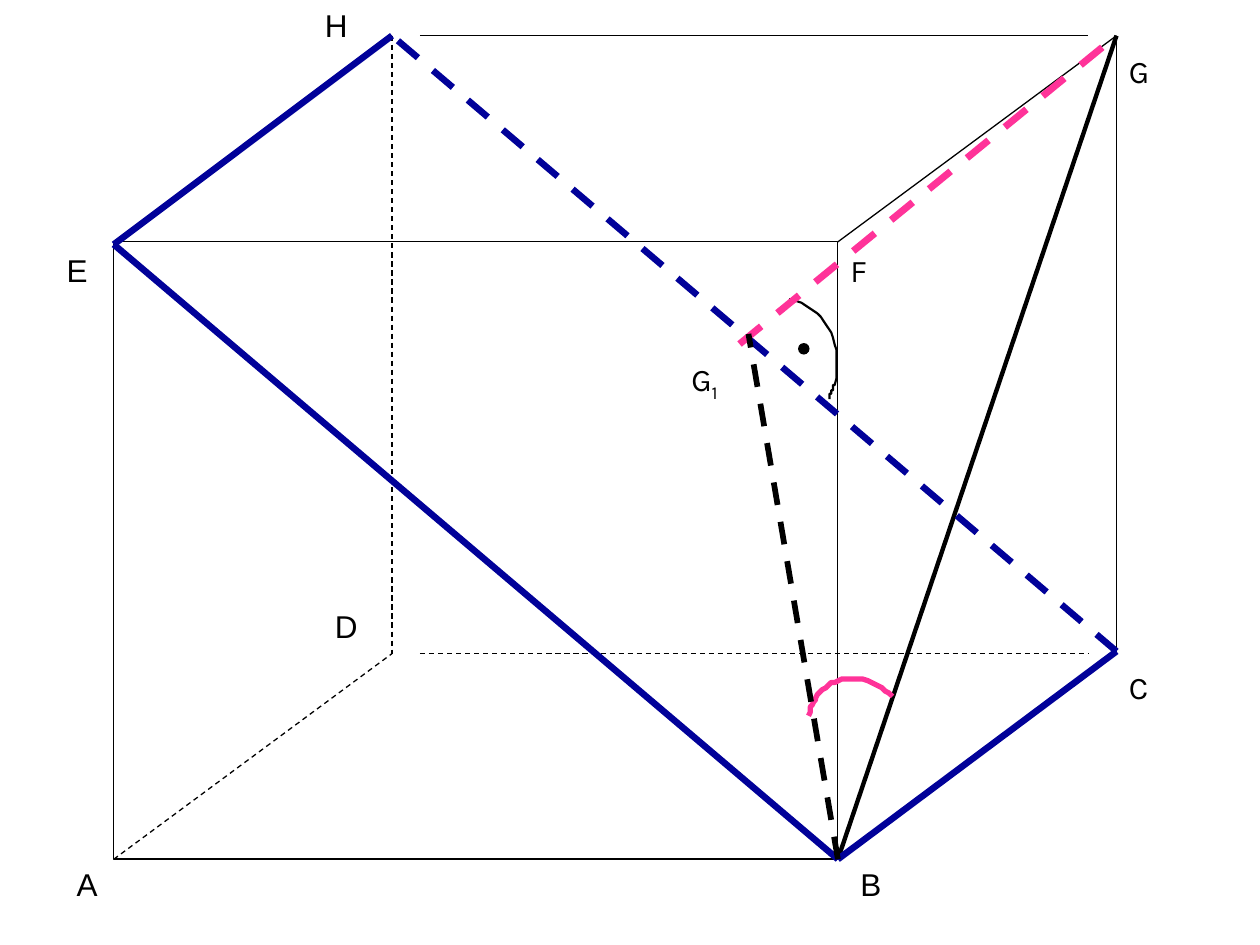
from dataclasses import dataclass

from lxml.etree import SubElement
from pptx import Presentation
from pptx.dml.color import RGBColor
from pptx.enum.dml import MSO_LINE
from pptx.enum.shapes import MSO_CONNECTOR, MSO_SHAPE
from pptx.enum.text import MSO_AUTO_SIZE
from pptx.oxml.ns import qn
from pptx.util import Pt

COLORS = {"black": "000000", "blue": "010199", "pink": "FF3399"}
Point = tuple[float, float]

# Corners of the box
A, B, C, D = (65, 491), (478.8, 491), (638, 373.5), (224, 373.5)
E, F, G, H = (65, 138.2), (478.8, 138.2), (638, 20.4), (224, 20.4)
# Corners of the cutting plane lie slightly off the box edges
PLANE_C, PLANE_E = (638, 372.2), (65, 139.7)
EDGE_GAP = 16


@dataclass
class Segment:
    start: Point
    end: Point
    color: str = "black"
    width: float = 0.75
    dashed: bool = False


@dataclass
class Label:
    text: str
    left: float
    top: float
    font: str = "Arial"
    width: float = 27
    wrap: bool = False
    subscript: str = ""


@dataclass
class Arc:
    start: Point
    curves: list[tuple[Point, Point, Point]]
    color: str
    width: float


DIAGONAL = Segment(B, G, width=2.5)
BOX_EDGES = [
    Segment(B, C),
    Segment(G, C),
    Segment((H[0] + EDGE_GAP, H[1]), (G[0] - EDGE_GAP, G[1])),
    Segment((D[0] + EDGE_GAP, D[1]), (C[0] - EDGE_GAP, C[1]), dashed=True),
    Segment(H, D, dashed=True),
    Segment(E, H),
    Segment(A, D, dashed=True),
    Segment(F, G),
]
PLANE_EDGES = [
    Segment(B, PLANE_C, "blue", 3.75),
    Segment(PLANE_E, H, "blue", 3.75),
    Segment(B, PLANE_E, "blue", 3.75),
    Segment(PLANE_C, H, "blue", 3.75, True),
]
PERPENDICULAR = Segment((422.6, 196.6), G, "pink", 4, True)
PROJECTION = Segment(B, (427.7, 190.8), width=3.25, dashed=True)

LABELS = [
    Label("A", 36.7, 491),
    Label("B", 484.6, 491),
    Label("D", 184.3, 343.4),
    Label("G", 638, 25.9, "Karla", wrap=True),
    Label("E", 31, 139.7),
    Label("H", 178.6, 0),
    Label("C", 638, 378, "Karla", 25),
    Label("F", 478.8, 139.7, "Karla", 24),
    Label("G", 388, 202.3, "Karla", 45.4, True, "1"),
]
ARCS = [
    Arc((462.2, 409), [
        ((463.7, 400.3), (469.4, 393.1), (476.6, 389.5)),
        ((486.7, 385.2), (500.4, 388.1), (509.8, 398.2)),
    ], "pink", 3),
    Arc((450.7, 171.4), [
        ((452.2, 171.4), (453.6, 172.1), (455, 172.1)),
        ((473, 177.1), (482.4, 198.7), (476.6, 219.6)),
        ((475.9, 222.5), (474.5, 224.6), (473.8, 227.5)),
    ], "black", 1.25),
]


def rgb(name: str) -> RGBColor:
    return RGBColor.from_string(COLORS[name])


def style_line(line, color: str, width: float) -> None:
    line.color.rgb = rgb(color)
    line.width = Pt(width)


def draw_segment(slide, segment: Segment) -> None:
    ends = [Pt(value) for value in (*segment.start, *segment.end)]
    connector = slide.shapes.add_connector(MSO_CONNECTOR.STRAIGHT, *ends)
    style_line(connector.line, segment.color, segment.width)
    if segment.dashed:
        connector.line.dash_style = MSO_LINE.DASH
    SubElement(connector._element.spPr, qn("a:effectLst"))


def draw_label(slide, label: Label) -> None:
    bounds = [Pt(value) for value in (label.left, label.top, label.width, 29)]
    frame = slide.shapes.add_textbox(*bounds).text_frame
    frame.word_wrap = label.wrap
    frame.auto_size = MSO_AUTO_SIZE.SHAPE_TO_FIT_TEXT
    paragraph = frame.paragraphs[0]
    for text in filter(None, (label.text, label.subscript)):
        run = paragraph.add_run()
        run.text = text
        for name, value in {"name": label.font, "size": Pt(18)}.items():
            setattr(run.font, name, value)
        run.font.color.rgb = rgb("black")
    if label.subscript:
        run._r.get_or_add_rPr().set("baseline", "-25000")


def bezier_points(start: Point, curve: tuple[Point, Point, Point], steps: int = 16) -> list[Point]:
    """Sample a cubic curve, leaving out its start point."""
    controls = (start, *curve)
    points = []
    for step in range(1, steps + 1):
        t = step / steps
        weights = ((1 - t) ** 3, 3 * t * (1 - t) ** 2, 3 * t * t * (1 - t), t ** 3)
        points.append(tuple(sum(w * p[axis] for w, p in zip(weights, controls)) for axis in (0, 1)))
    return points


def draw_arc(slide, arc: Arc) -> None:
    points = [arc.start]
    for curve in arc.curves:
        points += bezier_points(points[-1], curve)
    builder = slide.shapes.build_freeform(*arc.start, scale=Pt(1))
    builder.add_line_segments(points[1:], close=False)
    shape = builder.convert_to_shape()
    shape.shadow.inherit = False
    shape.fill.background()
    style_line(shape.line, arc.color, arc.width)


def draw_preset(slide, kind, left: float, top: float, width: float, height: float, fill: str = "") -> None:
    bounds = [Pt(value) for value in (left, top, width, height)]
    shape = slide.shapes.add_shape(kind, *bounds)
    shape.shadow.inherit = False
    if fill:
        shape.fill.solid()
        shape.fill.fore_color.rgb = rgb(fill)
    else:
        shape.fill.background()
    style_line(shape.line, "black", 0.75)


def main() -> None:
    presentation = Presentation()
    presentation.slide_width, presentation.slide_height = Pt(720), Pt(540)
    slide = presentation.slides.add_slide(presentation.slide_layouts[6])

    draw_segment(slide, DIAGONAL)
    draw_preset(slide, MSO_SHAPE.RECTANGLE, *E, B[0] - E[0], B[1] - E[1])
    for segment in BOX_EDGES + PLANE_EDGES:
        draw_segment(slide, segment)
    for label in LABELS:
        draw_label(slide, label)
    for arc in ARCS:
        draw_arc(slide, arc)
    draw_preset(slide, MSO_SHAPE.OVAL, 456.4, 196.4, 5.8, 5.8, "black")
    for segment in (PERPENDICULAR, PROJECTION):
        draw_segment(slide, segment)

    presentation.save("out.pptx")


if __name__ == "__main__":
    main()
